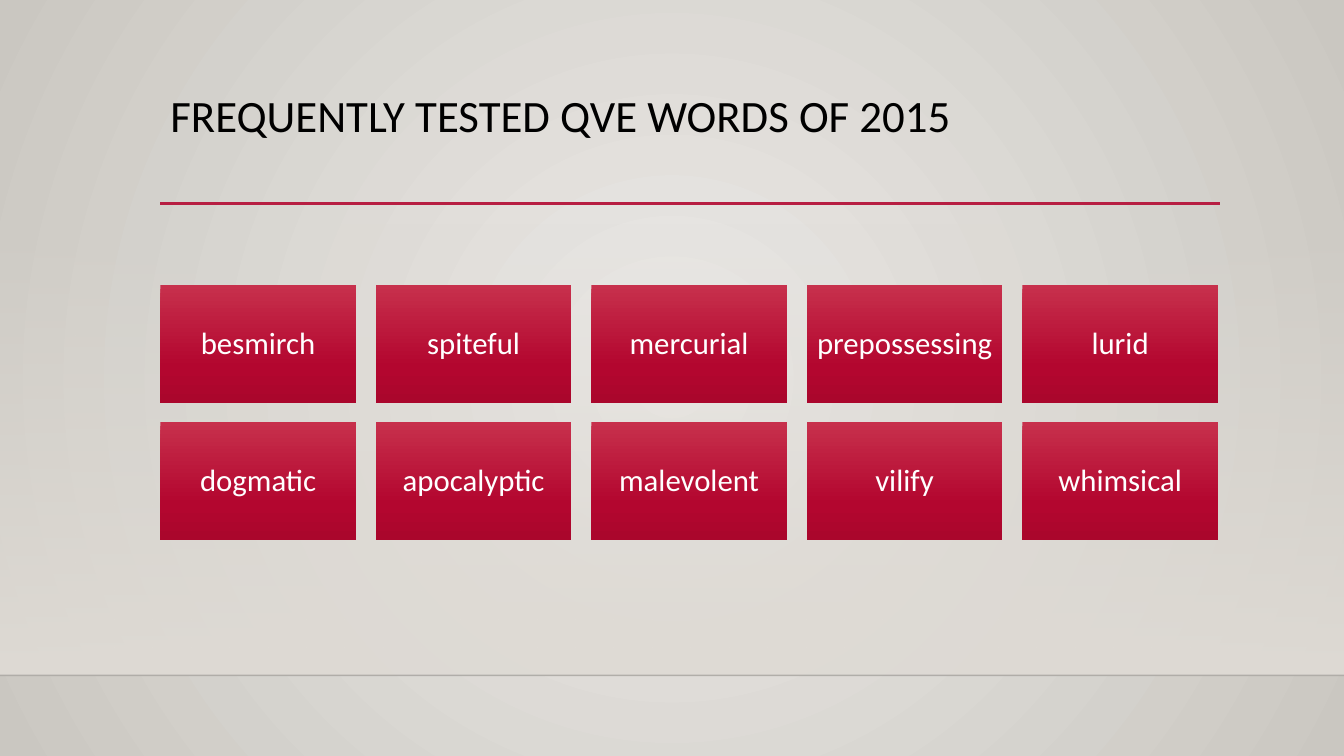
from lxml import etree
from pptx import Presentation
from pptx.dml.color import RGBColor
from pptx.enum.shapes import MSO_CONNECTOR as Connector, MSO_SHAPE as Shape
from pptx.enum.text import MSO_ANCHOR as Anchor, MSO_AUTO_SIZE as AutoSize, PP_ALIGN as Align
from pptx.oxml import parse_xml
from pptx.oxml.ns import nsdecls, qn
from pptx.util import Inches, Pt

TITLE = "FREQUENTLY TESTED QVE WORDS OF 2015"
WORDS = [
    ["besmirch", "spiteful", "mercurial", "prepossessing", "lurid"],
    ["dogmatic", "apocalyptic", "malevolent", "vilify", "whimsical"],
]

BLACK = RGBColor(0x00, 0x00, 0x00)
WHITE = RGBColor(0xFF, 0xFF, 0xFF)
CRIMSON = RGBColor(0xB7, 0x1E, 0x42)
HAZE = RGBColor(0xDF, 0xDB, 0xD5)
BACKDROP_STOPS = [(0, RGBColor(0xEC, 0xEA, 0xE7), 100), (100, RGBColor(0xCA, 0xC7, 0xC1), 100)]
HAZE_STOPS = [(0, HAZE, 0), (100, HAZE, 100)]
CARD_STOPS = [
    (0, RGBColor(0xC7, 0x30, 0x4C), 100),
    (69, RGBColor(0xB3, 0x06, 0x2F), 100),
    (100, RGBColor(0xAA, 0x06, 0x2C), 100),
]

WIDTH, HEIGHT = 13.33, 7.5
LEFT, RULE_RIGHT, RULE_TOP = 1.59, 12.1, 2.02
HAZE_TOP, FLOOR = 2.21, 6.7
GRID_TOP, GRID_RIGHT = 2.83, 12.08
CARD_WIDTH, CARD_HEIGHT = 1.94, 1.17
COLUMN_STEP = (GRID_RIGHT - LEFT - CARD_WIDTH) / (len(WORDS[0]) - 1)
ROW_STEP = 1.36

DOWNWARD = '<a:lin ang="5400000" scaled="0"/>'
RADIAL = '<a:path path="circle"><a:fillToRect l="50000" t="50000" r="50000" b="50000"/></a:path>'


def gradient(stops, direction):
    marks = "".join(
        f'<a:gs pos="{place * 1000}"><a:srgbClr val="{color}">'
        f'<a:alpha val="{alpha * 1000}"/></a:srgbClr></a:gs>'
        for place, color, alpha in stops
    )
    return parse_xml(
        f'<a:gradFill {nsdecls("a")} rotWithShape="1"><a:gsLst>{marks}</a:gsLst>{direction}</a:gradFill>'
    )


def swap_fill(properties, fill):
    properties.replace(properties.find(qn("a:solidFill")), fill)


def add_panel(slide, left, top, width, height, stops):
    panel = slide.shapes.add_shape(
        Shape.RECTANGLE, Inches(left), Inches(top), Inches(width), Inches(height)
    )
    panel.shadow.inherit = False
    panel.line.fill.background()
    panel.fill.solid()
    swap_fill(panel.element.spPr, gradient(stops, DOWNWARD))
    return panel


def add_rule(slide, left, right, top, color, weight, alpha=100):
    rule = slide.shapes.add_connector(
        Connector.STRAIGHT, Inches(left), Inches(top), Inches(right), Inches(top)
    )
    rule.line.color.rgb = color
    rule.line.width = Pt(weight)
    tint = rule.element.spPr.find(".//" + qn("a:srgbClr"))
    etree.SubElement(tint, qn("a:alpha"), val=str(alpha * 1000))
    etree.SubElement(rule.element.spPr, qn("a:effectLst"))


def write(shape, text, size, color, align, anchor, inset):
    frame = shape.text_frame
    frame.text = text
    para = frame.paragraphs[0]
    frame_format = {
        "word_wrap": True, "auto_size": AutoSize.NONE, "vertical_anchor": anchor,
        "margin_left": Inches(inset), "margin_right": Inches(inset),
    }
    font_format = {"name": "Calibri", "size": Pt(size), "bold": False}
    for target, values in (
        (frame, frame_format),
        (para, {"alignment": align, "line_spacing": 0.9}),
        (para.runs[0].font, font_format),
    ):
        for name, value in values.items():
            setattr(target, name, value)
    para.runs[0].font.color.rgb = color


def main():
    deck = Presentation()
    deck.slide_width, deck.slide_height = Inches(WIDTH), Inches(HEIGHT)
    slide = deck.slides.add_slide(deck.slide_layouts[5])
    slide.background.fill.solid()
    swap_fill(slide.element.find(".//" + qn("p:bgPr")), gradient(BACKDROP_STOPS, RADIAL))

    add_panel(slide, 0, HAZE_TOP, WIDTH, FLOOR - HAZE_TOP, HAZE_STOPS)
    add_rule(slide, 0, WIDTH, FLOOR, BLACK, 1, 20)
    add_rule(slide, LEFT, RULE_RIGHT, RULE_TOP, CRIMSON, 2.5)

    title = slide.shapes.title
    title.left, title.top = Inches(LEFT), Inches(0.88)
    title.width, title.height = Inches(10.5), Inches(1.15)
    write(title, TITLE, 32, BLACK, Align.LEFT, Anchor.TOP, 0.1)

    for row, words in enumerate(WORDS):
        for column, word in enumerate(words):
            card = add_panel(
                slide, LEFT + column * COLUMN_STEP, GRID_TOP + row * ROW_STEP,
                CARD_WIDTH, CARD_HEIGHT, CARD_STOPS,
            )
            write(card, word, 22, WHITE, Align.CENTER, Anchor.MIDDLE, 0.09)

    deck.save("out.pptx")


if __name__ == "__main__":
    main()
